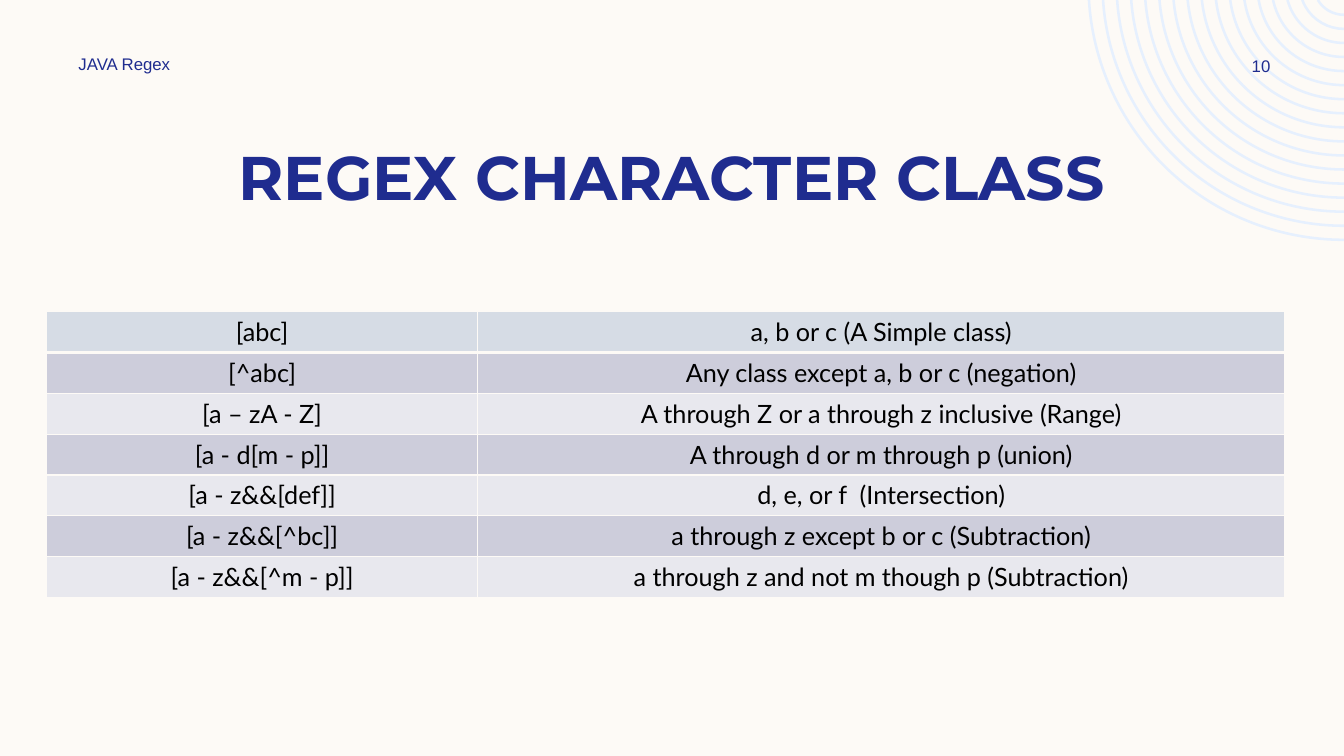
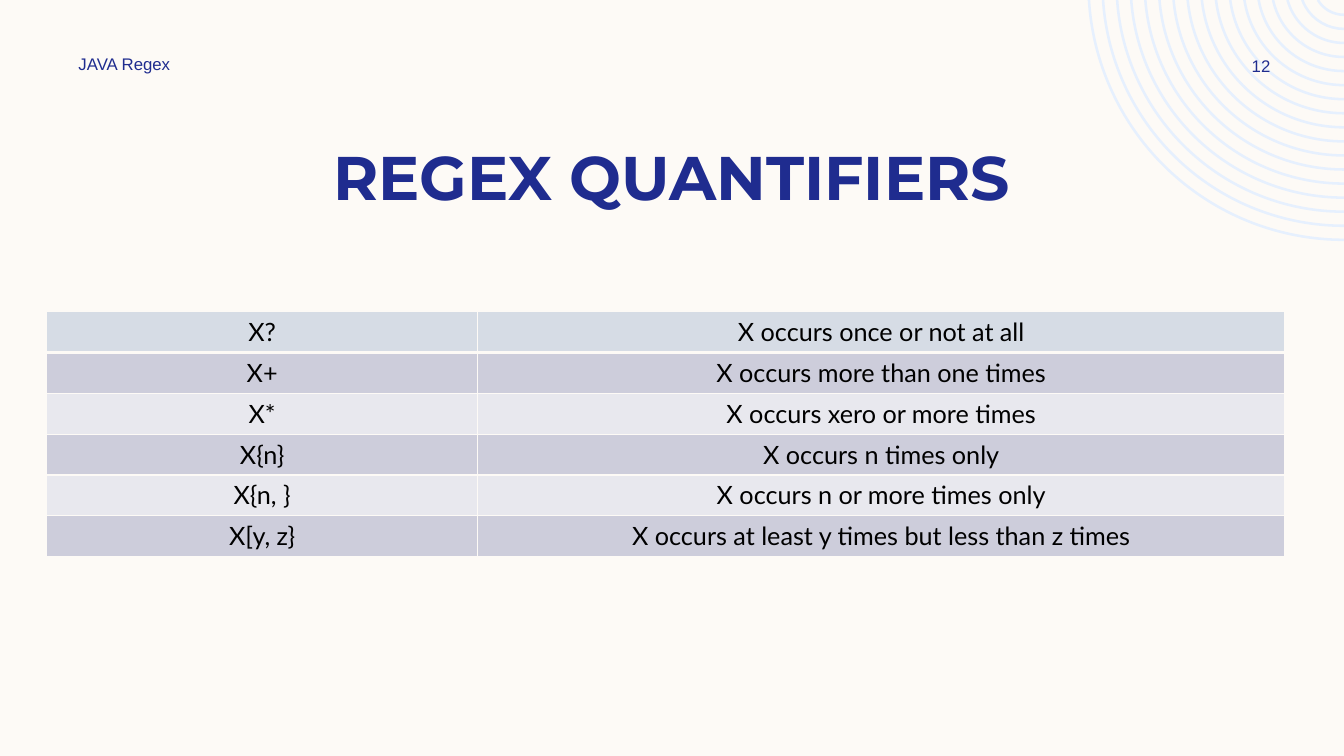
from math import asin, cos, degrees

from lxml import etree
from pptx import Presentation
from pptx.dml.color import RGBColor
from pptx.enum.text import MSO_ANCHOR, MSO_AUTO_SIZE, PP_ALIGN
from pptx.oxml.ns import qn
from pptx.util import Inches, Pt

LEFT, CENTER = PP_ALIGN.LEFT, PP_ALIGN.CENTER
TOP, MIDDLE = MSO_ANCHOR.TOP, MSO_ANCHOR.MIDDLE
NO_AUTOFIT = MSO_AUTO_SIZE.NONE

WIDTH, HEIGHT = Inches(13.33), Inches(7.5)
TITLE_ONLY = 5

COLORS = {
    "paper": "FDFAF6",
    "navy": "1F2C8F",
    "ring": "E6F0FE",
    "text": "000000",
    "top_row": "D6DCE5",
    "dark_row": "CDCDDB",
    "light_row": "E8E8EE",
}
TITLE_STYLE = {"name": "Montserrat", "size": Pt(44), "bold": True, "color": "navy"}
LABEL_STYLE = {"name": "Arial", "size": Pt(12), "bold": False, "color": "navy"}
CELL_STYLE = {"name": "Lato", "size": Pt(18), "bold": False, "color": "text"}

# Places in percent of the slide: left, top, width, height
TITLE_PLACE = (6.25, 17.73, 87.5, 11.2)
TOPIC_PLACE = (5.1, 6.4, 26.25, 4)
NUMBER_PLACE = (89.78, 6.67, 8.1, 4)
TABLE_LEFT, TABLE_TOP = 3.45, 41.2
COLUMN_WIDTHS = (32.11, 60.02)
ROW_HEIGHT = Pt(29.2)
THIN, THICK = Pt(1), Pt(3)

# Rings in percent of the slide's height, centred above the top right corner
RING_COUNT, RING_LINE = 17, Pt(1.8)
RING_CENTER, RING_FIRST, RING_GAP = -2.07, 4.03, 1.86
ANGLE_UNITS = 60000  # per degree

CHARACTER_CLASSES = [
    ("[abc]", "a, b or c (A Simple class)"),
    ("[^abc]", "Any class except a, b or c (negation)"),
    ("[a – zA - Z]", "A through Z or a through z inclusive (Range)"),
    ("[a - d[m - p]]", "A through d or m through p (union)"),
    ("[a - z&&[def]]", "d, e, or f  (Intersection)"),
    ("[a - z&&[^bc]]", "a through z except b or c (Subtraction)"),
    ("[a - z&&[^m - p]]", "a through z and not m though p (Subtraction)"),
]
QUANTIFIERS = [
    ("X?", "X occurs once or not at all"),
    ("X+", "X occurs more than one times"),
    ("X*", "X occurs xero or more times"),
    ("X{n}", "X occurs n times only"),
    ("X{n, }", "X occurs n or more times only"),
    ("X[y, z}", "X occurs at least y times but less than z times"),
]


def rgb(color):
    return RGBColor.from_string(COLORS[color])


def across(percent):
    return round(WIDTH * percent / 100)


def down(percent):
    return round(HEIGHT * percent / 100)


def to_box(place):
    left, top, width, height = place
    return across(left), down(top), across(width), down(height)


def write(frame, text, style, align):
    para = frame.paragraphs[0]
    para.alignment = align
    span = para.add_run()
    span.text = text
    for key, value in style.items():
        if key == "color":
            span.font.color.rgb = rgb(value)
        else:
            setattr(span.font, key, value)


def format_frame(frame, anchor):
    for key, value in {"word_wrap": True, "auto_size": NO_AUTOFIT,
                       "vertical_anchor": anchor}.items():
        setattr(frame, key, value)


def add_title(slide, text):
    title = slide.shapes.title
    for key, value in zip(("left", "top", "width", "height"), to_box(TITLE_PLACE)):
        setattr(title, key, value)
    format_frame(title.text_frame, TOP)
    write(title.text_frame, text, TITLE_STYLE, CENTER)


def add_label(slide, text, place, align):
    box = slide.shapes.add_textbox(*to_box(place))
    format_frame(box.text_frame, MIDDLE)
    write(box.text_frame, text, LABEL_STYLE, align)


def bend(segment, radius, start):
    """Turn a straight segment into an arc that ends below the centre."""
    arc = etree.Element(qn("a:arcTo"), wR=str(down(radius)), hR=str(down(radius)),
                        stAng=str(round((180 - start) * ANGLE_UNITS)),
                        swAng=str(round((start - 90) * ANGLE_UNITS)))
    segment.getparent().replace(segment, arc)


def add_rings(slide):
    """Draw arcs that run from the slide's top edge to its right edge."""
    radii = [RING_FIRST + index * RING_GAP for index in range(RING_COUNT)]
    starts = [asin(-RING_CENTER / radius) for radius in radii]
    builder = slide.shapes.build_freeform(WIDTH, 0)
    for radius, start in zip(radii, starts):
        builder.move_to(WIDTH - down(radius * cos(start)), 0)
        builder.add_line_segments([(WIDTH, down(RING_CENTER + radius))], close=False)
    rings = builder.convert_to_shape()
    segments = list(rings.element.iter(qn("a:lnTo")))
    for segment, radius, start in zip(segments, radii, starts):
        bend(segment, radius, degrees(start))
    rings.shadow.inherit = False
    rings.fill.background()
    rings.line.color.rgb = rgb("ring")
    rings.line.width = RING_LINE
    return rings


def set_borders(cell, widths):
    properties = cell._tc.get_or_add_tcPr()
    for side, width in widths.items():
        line = etree.SubElement(properties, qn(f"a:ln{side}"), w=str(width))
        fill = etree.SubElement(line, qn("a:solidFill"))
        etree.SubElement(fill, qn("a:srgbClr"), val=COLORS["paper"])


def row_color(index):
    if index == 0:
        return "top_row"
    return "dark_row" if index % 2 else "light_row"


def add_rule_table(slide, rules):
    table = slide.shapes.add_table(
        len(rules), len(COLUMN_WIDTHS), across(TABLE_LEFT), down(TABLE_TOP),
        across(sum(COLUMN_WIDTHS)), ROW_HEIGHT * len(rules)).table
    table.first_row = table.horz_banding = False
    for column, width in zip(table.columns, COLUMN_WIDTHS):
        column.width = across(width)
    for index, rule in enumerate(rules):
        table.rows[index].height = ROW_HEIGHT
        borders = {"L": THIN, "R": THIN,
                   "T": THICK if index == 1 else THIN,
                   "B": THICK if index == 0 else THIN}
        for column, text in enumerate(rule):
            cell = table.cell(index, column)
            set_borders(cell, borders)
            cell.fill.solid()
            cell.fill.fore_color.rgb = rgb(row_color(index))
            write(cell.text_frame, text, CELL_STYLE, CENTER)


def prepare_layout(deck):
    layout = deck.slide_layouts[TITLE_ONLY]
    layout.background.fill.solid()
    layout.background.fill.fore_color.rgb = rgb("paper")
    return layout


def main():
    deck = Presentation()
    deck.slide_width, deck.slide_height = WIDTH, HEIGHT
    layout = prepare_layout(deck)
    pages = [("REGEX CHARACTER CLASS", "10", CHARACTER_CLASSES),
             ("REGEX QUANTIFIERS", "12", QUANTIFIERS)]
    for index, (title, number, rules) in enumerate(pages):
        slide = deck.slides.add_slide(layout)
        if index == 0:
            # Only slides can build freeforms, so the rings move to the layout
            layout.shapes.element.append(add_rings(slide).element)
        add_title(slide, title)
        add_label(slide, "JAVA Regex", TOPIC_PLACE, LEFT)
        add_label(slide, number, NUMBER_PLACE, CENTER)
        add_rule_table(slide, rules)
    deck.save("out.pptx")


if __name__ == "__main__":
    main()
